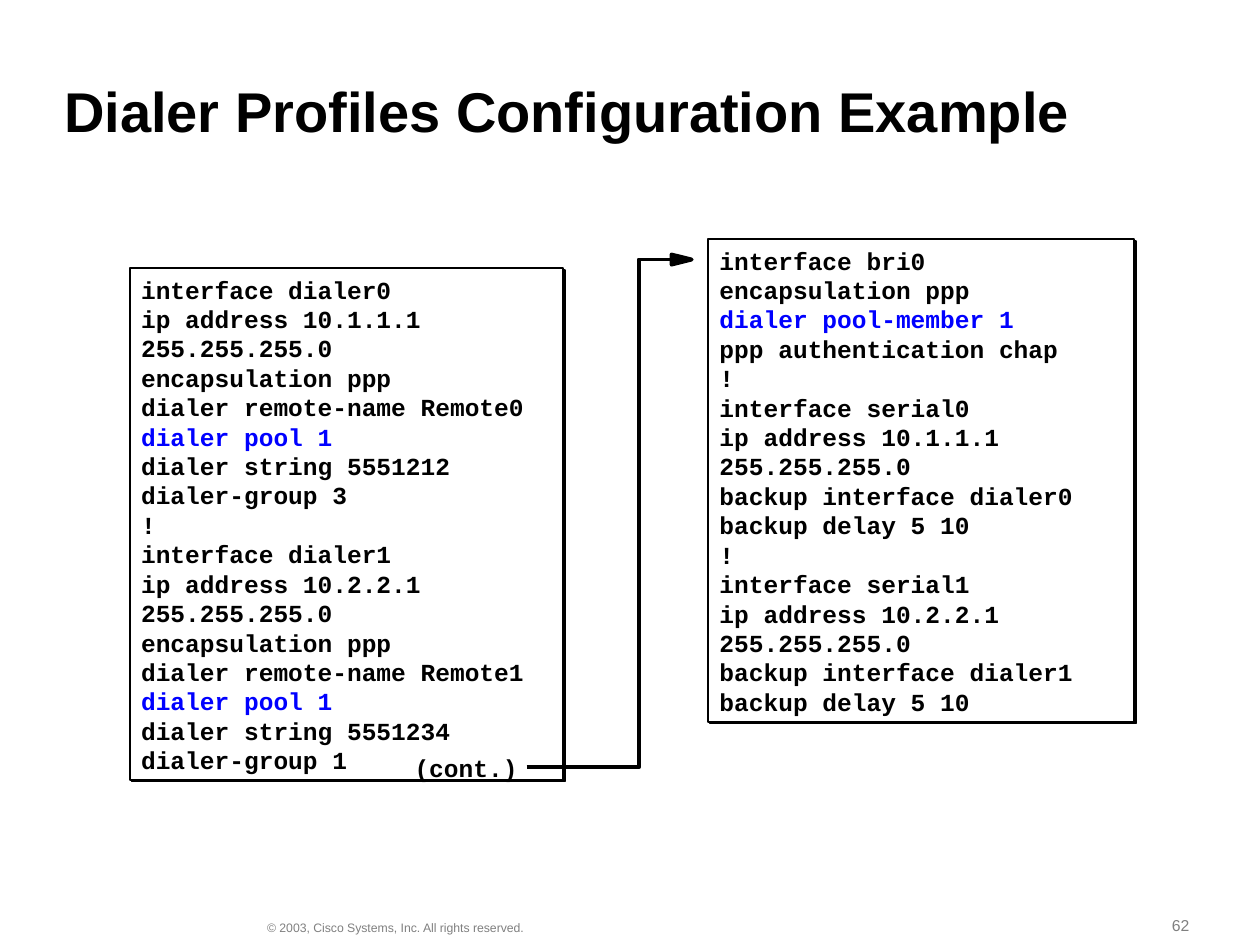
from dataclasses import dataclass

from lxml import etree
from pptx import Presentation
from pptx.dml.color import RGBColor
from pptx.enum.shapes import MSO_SHAPE
from pptx.enum.text import MSO_ANCHOR, PP_ALIGN
from pptx.oxml.ns import qn
from pptx.util import Inches, Pt


@dataclass(frozen=True)
class Theme:
    ink: str = "000000"
    paper: str = "FFFFFF"
    accent: str = "0000FF"
    muted: str = "808080"
    sans: str = "Arial"
    mono: str = "Courier New"
    title: int = 32
    code: int = 14
    number: int = 9
    footer: int = 7


T = Theme()

DIALERS = [
    "interface dialer0",
    "ip address 10.1.1.1 255.255.255.0",
    "encapsulation ppp",
    "dialer remote-name Remote0",
    "dialer pool 1",
    "dialer string 5551212",
    "dialer-group 3",
    "!",
    "interface dialer1",
    "ip address 10.2.2.1 255.255.255.0",
    "encapsulation ppp",
    "dialer remote-name Remote1",
    "dialer pool 1",
    "dialer string 5551234",
    "dialer-group 1",
]
INTERFACES = [
    "interface bri0",
    "encapsulation ppp",
    "dialer pool-member 1",
    "ppp authentication chap",
    "!",
    "interface serial0",
    "ip address 10.1.1.1 255.255.255.0",
    "backup interface dialer0",
    "backup delay 5 10",
    "!",
    "interface serial1",
    "ip address 10.2.2.1 255.255.255.0",
    "backup interface dialer1",
    "backup delay 5 10",
]


def rgb(color):
    return RGBColor.from_string(color)


def write(sp, lines, size, font=T.sans, color=T.ink, bold=False, marked=(),
          anchor=MSO_ANCHOR.TOP, inset=0.05, wrap=True, spacing=None):
    """Fill a shape with one paragraph per line; marked lines take the accent colour."""
    tf = sp.text_frame
    tf.word_wrap = wrap
    tf.vertical_anchor = anchor
    tf.margin_left = tf.margin_right = Inches(0.09)
    tf.margin_top = tf.margin_bottom = Inches(inset)
    for i, line in enumerate(lines):
        p = tf.paragraphs[0] if i == 0 else tf.add_paragraph()
        p.alignment = PP_ALIGN.LEFT
        if spacing:
            p.line_spacing = spacing
        r = p.add_run()
        r.text = line
        r.font.size = Pt(size)
        r.font.name = font
        r.font.bold = bold
        r.font.color.rgb = rgb(T.accent if line in marked else color)


def add_text(s, box, text, size, **fmt):
    write(s.shapes.add_textbox(*map(Inches, box)), [text], size, **fmt)


def add_hard_shadow(sp):
    sp.shadow.inherit = False
    effects = sp._element.spPr.find(qn("a:effectLst"))
    shadow = etree.SubElement(effects, qn("a:outerShdw"), dist=str(Pt(1.4)),
                              dir="2700000", algn="ctr", rotWithShape="0")
    etree.SubElement(shadow, qn("a:srgbClr"), val=T.ink)


def add_code_panel(s, box, lines, marked):
    sp = s.shapes.add_shape(MSO_SHAPE.RECTANGLE, *map(Inches, box))
    sp.fill.solid()
    sp.fill.fore_color.rgb = rgb(T.paper)
    sp.line.color.rgb = rgb(T.ink)
    sp.line.width = Pt(1)
    add_hard_shadow(sp)
    write(sp, lines, T.code, font=T.mono, bold=True, marked=marked)


def add_outline(shapes, points, closed):
    """Draw a black path, filled when closed."""
    start, *rest = [(Inches(x), Inches(y)) for x, y in points]
    builder = shapes.build_freeform(*start)
    builder.add_line_segments(rest, close=closed)
    sp = builder.convert_to_shape()
    sp.shadow.inherit = False
    sp.line.color.rgb = rgb(T.ink)
    sp.line.width = Pt(2.25)
    if closed:
        sp.fill.solid()
        sp.fill.fore_color.rgb = rgb(T.ink)
    else:
        sp.fill.background()


def add_elbow_arrow(s, box, bend, head=0.16, half=0.04):
    """Run from the box's lower left, up at x = bend, to its upper right."""
    left, top, width, height = box
    right, bottom = left + width, top + height
    neck = right - head
    shapes = s.shapes.add_group_shape().shapes
    add_outline(shapes, [(neck, top), (neck, top - half), (right, top),
                         (neck, top + half)], True)
    add_outline(shapes, [(left, bottom), (bend, bottom), (bend, top), (neck, top)], False)


def add_footer(s):
    fmt = dict(color=T.muted, anchor=MSO_ANCHOR.BOTTOM, inset=0.04, wrap=False)
    add_text(s, (9.21, 7.22, 0.75, 0.24), "62", T.number, **fmt)
    add_text(s, (2.03, 7.25, 2.22, 0.21),
             "© 2003, Cisco Systems, Inc. All rights reserved.", T.footer, **fmt)


def main():
    prs = Presentation()
    prs.slide_width, prs.slide_height = Inches(10), Inches(7.5)
    s = prs.slides.add_slide(prs.slide_layouts[6])
    add_footer(s)
    add_code_panel(s, (1.03, 2.13, 3.44, 4.06), DIALERS, {"dialer pool 1"})
    add_text(s, (3.2, 5.93, 1.17, 0.32), "(cont.)", T.code, font=T.mono, bold=True)
    add_code_panel(s, (5.62, 1.9, 3.38, 3.83), INTERFACES, {"dialer pool-member 1"})
    add_elbow_arrow(s, (4.18, 2.06, 1.31, 4.03), bend=5.07)
    add_text(s, (0.42, 0.27, 9.17, 0.92), "Dialer Profiles Configuration Example",
             T.title, bold=True, anchor=MSO_ANCHOR.BOTTOM, inset=0.04, spacing=0.9)
    prs.save("out.pptx")


if __name__ == "__main__":
    main()
